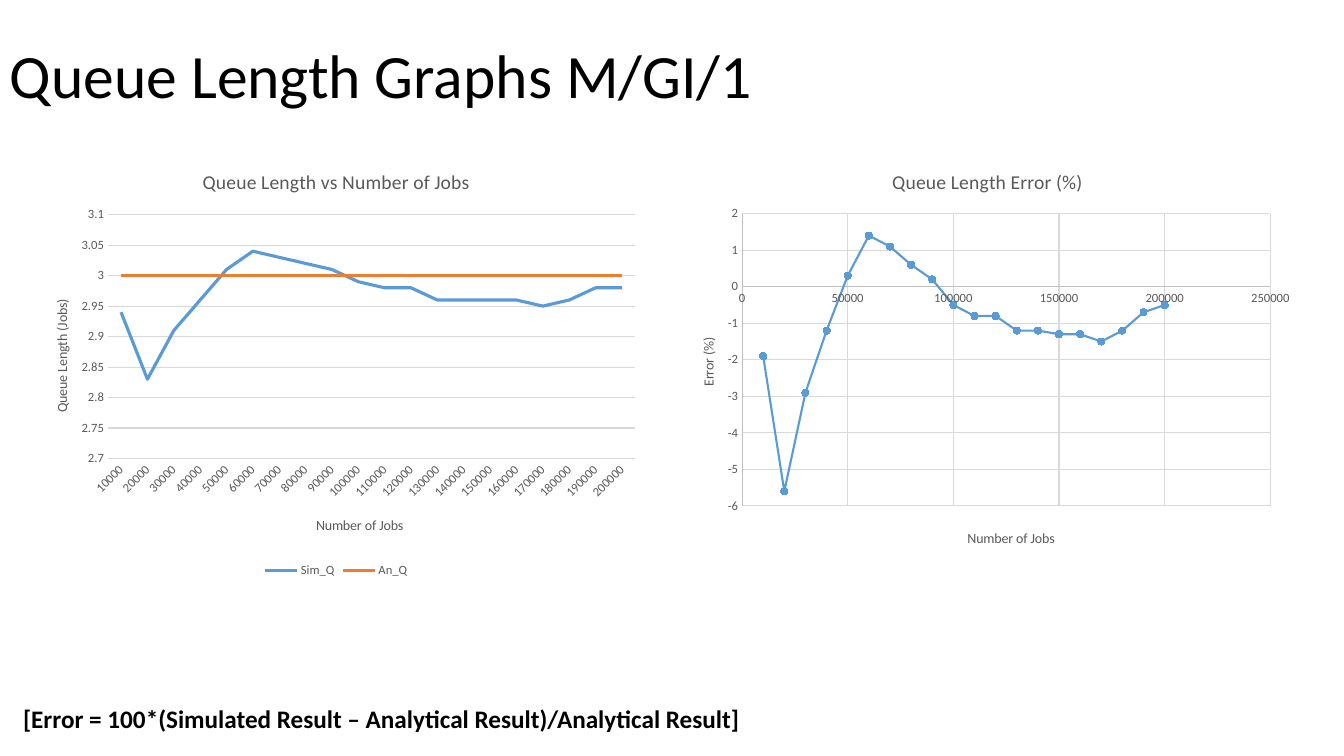
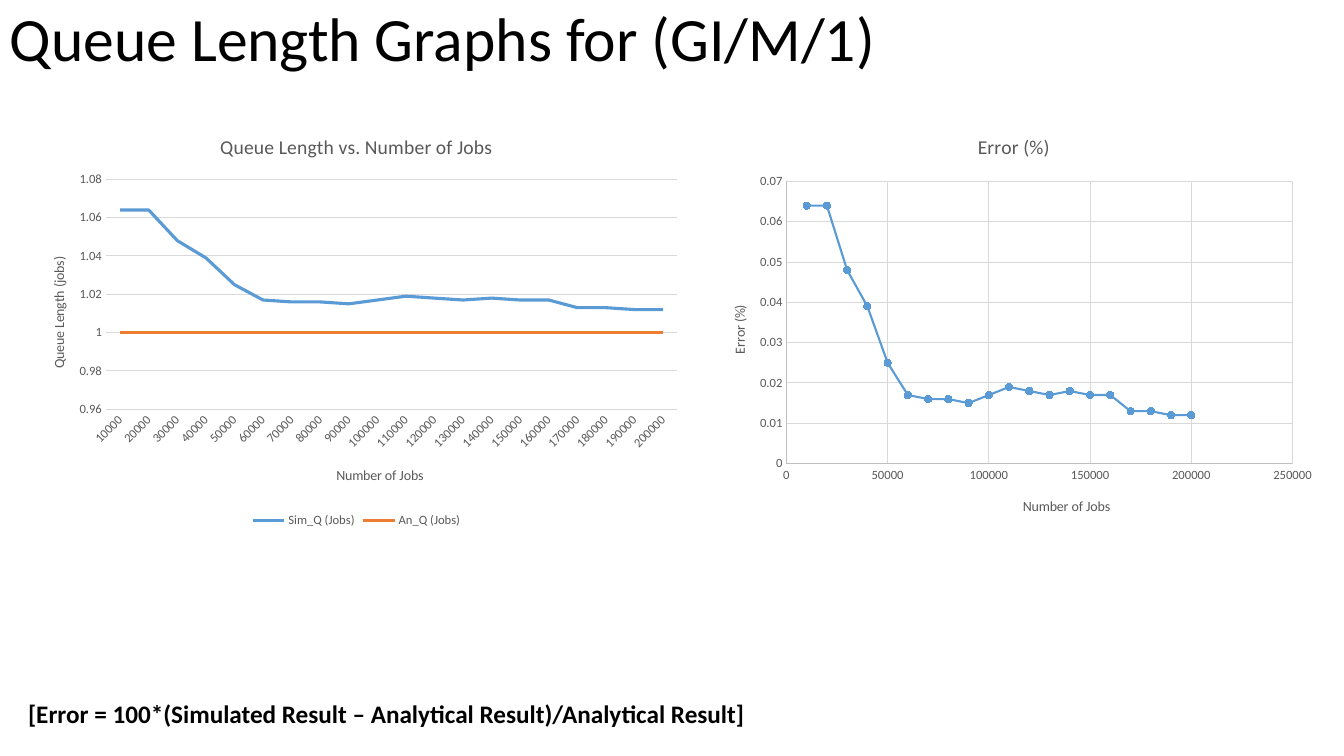
from lxml import etree
from pptx import Presentation
from pptx.chart.data import CategoryChartData, XyChartData
from pptx.dml.color import RGBColor
from pptx.enum.chart import XL_CHART_TYPE as CT, XL_LEGEND_POSITION as LP
from pptx.enum.chart import XL_MARKER_STYLE as MS, XL_TICK_MARK as TM
from pptx.enum.text import MSO_ANCHOR
from pptx.oxml.ns import qn
from pptx.util import Inches, Pt

FONT = "Calibri"
COLORS = {"text": "000000", "label": "595959", "grid": "D9D9D9",
          "axis": "BFBFBF", "sim": "5B9BD5", "an": "ED7D31"}
RGB = {name: RGBColor.from_string(value) for name, value in COLORS.items()}
FORMULA = "[Error = 100*(Simulated Result – Analytical Result)/Analytical Result]"
JOBS = range(10000, 200001, 10000)

# Boxes are left, top, width, height in inches; scales are min, max, step
SLIDES = [
    {"title": "Queue Length Graphs M/GI/1",
     "title_box": (0, 0.05, 11.5, 1.45), "formula_box": (0.13, 6.93, 9.41, 0.4),
     "charts": [
         {"kind": "line", "title": "Queue Length vs Number of Jobs",
          "y_title": "Queue Length (Jobs)", "scale": (2.7, 3.1, 0.05),
          "box": (0.25, 1.5, 6.17, 4.27), "plot": (1.07, 2.13, 5.23, 2.42),
          "x_title_at": (3.11, 5.1), "y_title_at": (0.5, 2.94),
          "series": {"Sim_Q": [2.94, 2.83, 2.91, 2.96, 3.01, 3.04, 3.03, 3.02, 3.01, 2.99,
                               2.98, 2.98, 2.96, 2.96, 2.96, 2.96, 2.95, 2.96, 2.98, 2.98],
                     "An_Q": [3] * 20}},
         {"kind": "scatter", "title": "Queue Length Error (%)",
          "y_title": "Error (%)", "scale": (-6, 2, 1),
          "box": (6.67, 1.5, 6.25, 4.08), "plot": (7.36, 2.12, 5.24, 2.9),
          "x_title_at": (9.57, 5.22), "y_title_at": (6.91, 3.32),
          "series": {"Series 1": [-1.9, -5.6, -2.9, -1.2, 0.3, 1.4, 1.1, 0.6, 0.2, -0.5,
                                  -0.8, -0.8, -1.2, -1.2, -1.3, -1.3, -1.5, -1.2, -0.7, -0.5]}},
     ]},
    {"title": "Queue Length Graphs for (GI/M/1)",
     "title_box": (0, 0, 11.5, 0.83), "formula_box": (0.18, 6.88, 9.41, 0.4),
     "charts": [
         {"kind": "line", "title": "Queue Length vs. Number of Jobs",
          "y_title": "Queue Length (jobs)", "scale": (0.96, 1.08, 0.02),
          "box": (0.22, 1.15, 6.63, 4.13), "plot": (1.05, 1.78, 5.67, 2.28),
          "x_title_at": (3.31, 4.6), "y_title_at": (0.47, 2.52),
          "series": {"Sim_Q (Jobs)": [1.064, 1.064, 1.048, 1.039, 1.025, 1.017, 1.016,
                                      1.016, 1.015, 1.017, 1.019, 1.018, 1.017, 1.018,
                                      1.017, 1.017, 1.013, 1.013, 1.012, 1.012],
                     "An_Q (Jobs)": [1] * 20}},
         {"kind": "scatter", "title": "Error (%)",
          "y_title": "Error (%)", "scale": (0, 0.07, 0.01),
          "box": (6.98, 1.15, 6.15, 4.13), "plot": (7.8, 1.8, 5.02, 2.8),
          "x_title_at": (10.12, 4.91), "y_title_at": (7.22, 3),
          "series": {"Error (%)": [0.064, 0.064, 0.048, 0.039, 0.025, 0.017, 0.016,
                                   0.016, 0.015, 0.017, 0.019, 0.018, 0.017, 0.018,
                                   0.017, 0.017, 0.013, 0.013, 0.012, 0.012]}},
     ]},
]


def place(el, index, box, place_box):
    """Pin a chart part to a place on the slide, as fractions of the chart box."""
    for old in el.findall(qn("c:layout")):
        el.remove(old)
    layout = etree.Element(qn("c:layout"))
    manual = etree.SubElement(layout, qn("c:manualLayout"))
    settings = [("xMode", "edge"), ("yMode", "edge")]
    if len(place_box) == 4:
        settings.insert(0, ("layoutTarget", "inner"))
    for i, (tag, value) in enumerate(zip("xywh", place_box)):
        start = box[i] if i < 2 else 0
        settings.append((tag, f"{(value - start) / box[2 + i % 2]:.4f}"))
    for tag, value in settings:
        etree.SubElement(manual, qn(f"c:{tag}")).set("val", value)
    el.insert(index, layout)


def style(font, size, color, bold=False):
    font.name, font.size, font.bold = FONT, Pt(size), bold
    font.color.rgb = RGB[color]


prs = Presentation()
prs.slide_width, prs.slide_height = Inches(13.33), Inches(7.5)

for page in SLIDES:
    s = prs.slides.add_slide(prs.slide_layouts[6])

    # Title and error formula
    for text, box, size, bold in [(page["title"], page["title_box"], 44, False),
                                  (FORMULA, page["formula_box"], 18, True)]:
        tf = s.shapes.add_textbox(*map(Inches, box)).text_frame
        tf.word_wrap = True
        tf.vertical_anchor = MSO_ANCHOR.TOP if bold else MSO_ANCHOR.MIDDLE
        p = tf.paragraphs[0]
        p.text = text
        p.line_spacing = 1.0 if bold else 0.9
        style(p.font, size, "text", bold)

    for c in page["charts"]:
        is_line = c["kind"] == "line"
        box = c["box"]

        # Data
        if is_line:
            data = CategoryChartData()
            data.categories = [str(n) for n in JOBS]
            for name, values in c["series"].items():
                data.add_series(name, values)
        else:
            data = XyChartData()
            for name, values in c["series"].items():
                points = data.add_series(name)
                for n, value in zip(JOBS, values):
                    points.add_data_point(n, value)
        kind = CT.LINE if is_line else CT.XY_SCATTER_LINES
        chart = s.shapes.add_chart(kind, *map(Inches, box), data).chart
        style(chart.font, 10, "text")

        # Chart title and legend
        chart.has_title = True
        p = chart.chart_title.text_frame.paragraphs[0]
        p.text = c["title"]
        style(p.font, 14, "label")
        chart.has_legend = is_line
        if is_line:
            chart.legend.position = LP.BOTTOM
            chart.legend.include_in_layout = False
            style(chart.legend.font, 9, "label")

        # Axes
        x_axis, y_axis = chart.category_axis, chart.value_axis
        for axis, title, at in [(x_axis, "Number of Jobs", c["x_title_at"]),
                                (y_axis, c["y_title"], c["y_title_at"])]:
            p = axis.axis_title.text_frame.paragraphs[0]
            p.text = title
            style(p.font, 10, "label")
            place(axis.axis_title._element, 1, box, at)
            style(axis.tick_labels.font, 9, "label")
            axis.major_tick_mark = axis.minor_tick_mark = TM.NONE
            axis.format.line.color.rgb = RGB["grid" if is_line else "axis"]
            axis.format.line.width = Pt(0.75)
            axis.has_major_gridlines = axis is y_axis or not is_line
            if axis.has_major_gridlines:
                grid = axis.major_gridlines.format.line
                grid.color.rgb, grid.width = RGB["grid"], Pt(0.75)
        y_axis.minimum_scale, y_axis.maximum_scale, y_axis.major_unit = c["scale"]
        if is_line:
            y_axis.format.line.fill.background()
            x_axis._element.find(qn("c:txPr")).find(qn("a:bodyPr")).set("rot", "-2700000")
        else:
            x_axis.minimum_scale, x_axis.maximum_scale, x_axis.major_unit = 0, 250000, 50000

        # Plot and series
        plot = chart.plots[0]
        plot.vary_by_categories = False
        place(chart._chartSpace.chart.plotArea, 0, box, c["plot"])
        for series, color in zip(plot.series, ("sim", "an")):
            series.smooth = False
            series.format.line.color.rgb = RGB[color]
            series.format.line.width = Pt(2.25 if is_line else 1.5)
            if not is_line:
                series.marker.style, series.marker.size = MS.CIRCLE, 5
                series.marker.format.fill.solid()
                series.marker.format.fill.fore_color.rgb = RGB[color]
                series.marker.format.line.color.rgb = RGB[color]

prs.save("out.pptx")
